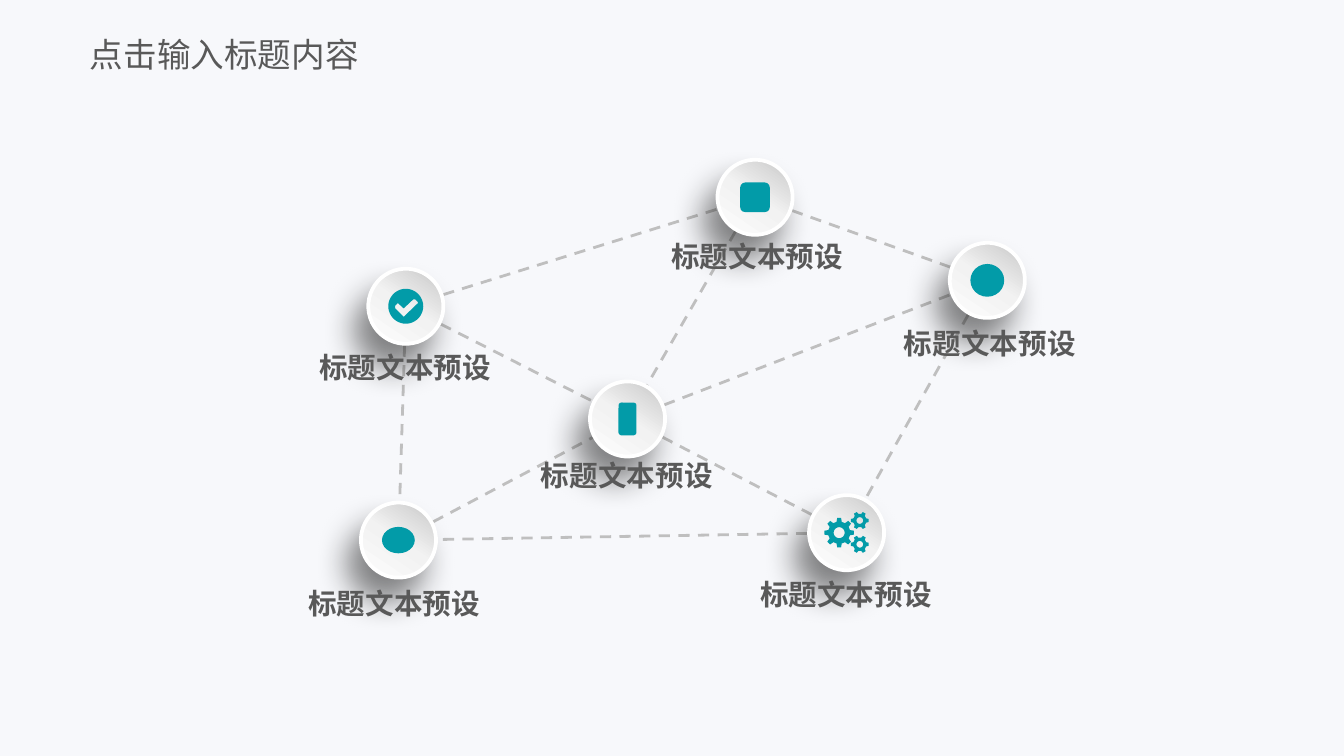
import copy
import math
from dataclasses import dataclass

import lxml.etree
import pptx
import pptx.dml.color
import pptx.enum.dml
import pptx.enum.shapes
import pptx.enum.text
import pptx.oxml.ns
import pptx.util

Cm = pptx.util.Cm
Pt = pptx.util.Pt
SHAPE = pptx.enum.shapes.MSO_SHAPE
ALIGN = pptx.enum.text.PP_ALIGN
qn = pptx.oxml.ns.qn


@dataclass
class Theme:
    font: str = "Noto Sans CJK SC"
    background: str = "F7F8FB"
    text: str = "595959"
    accent: str = "029BA8"
    link: str = "BFBFBF"
    rim: str = "FFFFFF"
    shadow: str = "0D0D0D"
    gradient: tuple = ((0, "BFBFBF"), (0.5, "F2F2F2"), (1, "FFFFFF"))
    title_size: float = 18
    label_size: float = 15.3


def rgb(value):
    return pptx.dml.color.RGBColor.from_string(value)


def write(tf, text, *, font, size, color, bold=False, align=ALIGN.LEFT, wrap=True, inset=0):
    tf.word_wrap = wrap
    tf.auto_size = pptx.enum.text.MSO_AUTO_SIZE.NONE
    tf.vertical_anchor = pptx.enum.text.MSO_ANCHOR.MIDDLE
    tf.margin_left = tf.margin_right = 0
    tf.margin_top = tf.margin_bottom = Cm(inset)
    p = tf.paragraphs[0]
    p.alignment = align
    r = p.add_run()
    r.text = text
    r.font.size = Pt(size)
    r.font.bold = bold
    r.font.color.rgb = rgb(color)
    r.font.name = font
    lxml.etree.SubElement(r.font._element, qn("a:ea"), typeface=font)


def ring(x, y, radius, count=48):
    angles = [2 * math.pi * i / count for i in range(count)]
    return [(x + radius * math.cos(a), y + radius * math.sin(a)) for a in angles]


def gear(x, y, radius, teeth):
    profile = ((-0.3, 0.75), (-0.17, 1), (0.17, 1), (0.3, 0.75))
    points = []
    for tooth in range(teeth):
        for offset, ratio in profile:
            a = 2 * math.pi * (tooth + offset) / teeth
            points.append((x + radius * ratio * math.cos(a), y + radius * ratio * math.sin(a)))
    return [points, ring(x, y, radius * 0.37)]


class Deck:
    """Holds the theme and the current slide, and draws each kind of element."""

    def __init__(self, prs, theme):
        self.theme = theme
        self.slide = prs.slides.add_slide(prs.slide_layouts[5])
        fill = self.slide.background.fill
        fill.solid()
        fill.fore_color.rgb = rgb(theme.background)

    def title(self, text, x, y, w, h):
        sp = self.slide.shapes.title
        sp.left, sp.top, sp.width, sp.height = Cm(x), Cm(y), Cm(w), Cm(h)
        t = self.theme
        write(sp.text_frame, text, font=t.font, size=t.title_size, color=t.text, inset=0.13)

    def label(self, text, x, y, w=3.63, h=0.56):
        sp = self.slide.shapes.add_textbox(Cm(x - w / 2), Cm(y - h / 2), Cm(w), Cm(h))
        t = self.theme
        write(sp.text_frame, text, font=t.font, size=t.label_size, color=t.text,
              bold=True, align=ALIGN.CENTER, wrap=False)

    def link(self, start, end):
        ends = [Cm(v) for v in (*start, *end)]
        sp = self.slide.shapes.add_connector(pptx.enum.shapes.MSO_CONNECTOR.STRAIGHT, *ends)
        sp.line.color.rgb = rgb(self.theme.link)
        sp.line.width = Pt(1.5)
        sp.line.dash_style = pptx.enum.dml.MSO_LINE.DASH
        lxml.etree.SubElement(sp._element.spPr, qn("a:effectLst"))

    def shape(self, kind, x, y, w, h):
        sp = self.slide.shapes.add_shape(kind, Cm(x - w / 2), Cm(y - h / 2), Cm(w), Cm(h))
        return self.paint(sp)

    def paint(self, sp):
        sp.shadow.inherit = False
        sp.fill.solid()
        sp.fill.fore_color.rgb = rgb(self.theme.accent)
        sp.line.fill.background()
        return sp

    def outline(self, x, y, contours):
        scaled = [[(Cm(x + dx), Cm(y + dy)) for dx, dy in c] for c in contours]
        builder = self.slide.shapes.build_freeform(*scaled[0][0])
        for points in scaled:
            builder.move_to(*points[0])
            builder.add_line_segments(points[1:], close=True)
        self.paint(builder.convert_to_shape())

    def button(self, x, y, d=1.42):
        sp = self.shape(SHAPE.OVAL, x, y, d, d)
        sp.rotation = 349.1
        sp.line.color.rgb = rgb(self.theme.rim)
        sp.line.width = Pt(2)
        sp.fill.gradient()
        sp.fill.gradient_angle = 225
        stops = sp._element.spPr.find(qn("a:gradFill")).find(qn("a:gsLst"))
        stops.append(copy.deepcopy(stops[0]))
        for stop, (position, color) in zip(sp.fill.gradient_stops, self.theme.gradient):
            stop.position = position
            stop.color.rgb = rgb(color)
        effects = sp._element.spPr.find(qn("a:effectLst"))
        shadow = lxml.etree.SubElement(
            effects, qn("a:outerShdw"), blurRad=str(Pt(17)), dist=str(Pt(14)),
            dir=str(120 * 60000), algn="ctr", rotWithShape="0")
        color = lxml.etree.SubElement(shadow, qn("a:srgbClr"), val=self.theme.shadow)
        lxml.etree.SubElement(color, qn("a:alpha"), val="50000")


NODES = {
    "check": (7.67, 5.79),
    "bottom": (7.53, 10.21),
    "hub": (11.86, 7.92),
    "gears": (16, 10.07),
    "top": (14.27, 3.73),
    "right": (18.66, 5.3),
}
LABELS = [(7.66, 6.93), (7.45, 11.4), (11.85, 8.99), (15.99, 11.23), (14.31, 4.85), (18.71, 6.48)]
LINKS = [
    ("check", "hub"), ("bottom", "hub"), ("check", "bottom"), ("top", "hub"), ("check", "top"),
    ("top", "right"), ("hub", "right"), ("gears", "hub"), ("right", "gears"), ("gears", "bottom"),
]
PLAIN_ICONS = {
    "hub": (SHAPE.ROUNDED_RECTANGLE, 0.34, 0.62),
    "bottom": (SHAPE.OVAL, 0.62, 0.5),
    "right": (SHAPE.OVAL, 0.64, 0.62),
    "top": (SHAPE.ROUNDED_RECTANGLE, 0.56, 0.56),
}
TICK = [(0.23, -0.06), (-0.04, 0.2), (-0.2, 0.04), (-0.2, -0.01), (-0.15, -0.06),
        (-0.04, 0.04), (0.14, -0.13), (0.18, -0.13), (0.23, -0.08)]


def main():
    prs = pptx.Presentation()
    prs.slide_width, prs.slide_height = Cm(25.4), Cm(14.29)
    s = Deck(prs, Theme())
    s.title("点击输入标题内容", 1.7, 0.48, 5.92, 1.07)
    for start, end in LINKS:
        s.link(NODES[start], NODES[end])
    for center in NODES.values():
        s.button(*center)
    for name, (kind, w, h) in PLAIN_ICONS.items():
        s.shape(kind, *NODES[name], w, h)
    s.outline(*NODES["check"], [ring(0, 0, 0.33), TICK])
    wheels = gear(-0.14, 0, 0.28, 8) + gear(0.25, -0.23, 0.17, 6) + gear(0.25, 0.22, 0.17, 6)
    s.outline(*NODES["gears"], wheels)
    for center in LABELS:
        s.label("标题文本预设", *center)
    prs.save("out.pptx")


if __name__ == "__main__":
    main()
